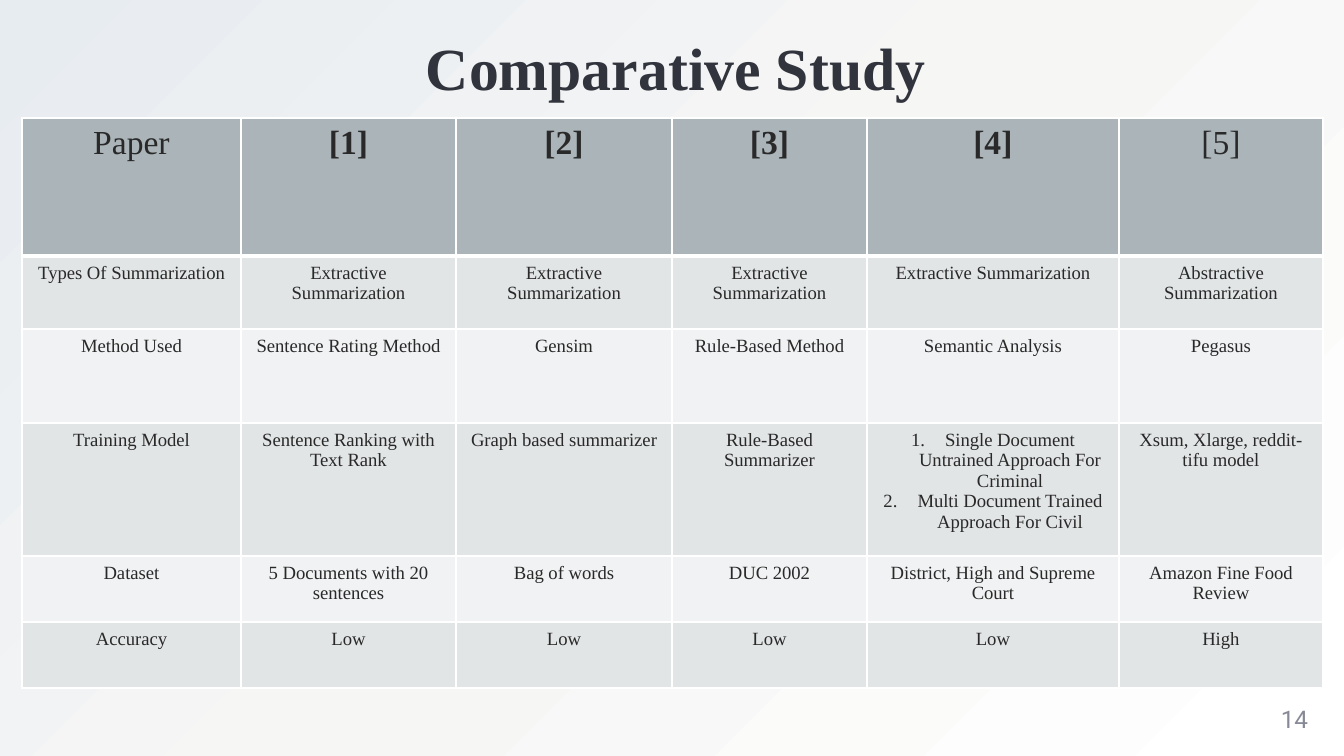
import lxml.etree
import pptx
import pptx.dml.color
import pptx.enum.text
import pptx.oxml.ns
import pptx.util

SCALE = 914400 / 134.4
SERIF = "Times New Roman"
INK = "292929"
HEADER_FILL = "ABB4B8"
BAND_FILLS = ("E2E5E6", "F1F2F3")
BACKGROUND = ((0, "FFFFFF"), (50, "F6F6F5"), (100, "E7ECF0"))
COLUMNS = (219, 215, 216, 195, 252, 204)
ROWS = (138, 73, 94, 133, 66, 66)
STUDY = (
    ("Paper", "[1]", "[2]", "[3]", "[4]", "[5]"),
    ("Types Of Summarization", *["Extractive Summarization"] * 4, "Abstractive Summarization"),
    ("Method Used", "Sentence Rating Method", "Gensim", "Rule-Based Method",
     "Semantic Analysis", "Pegasus"),
    ("Training Model", "Sentence Ranking with Text Rank", "Graph based summarizer",
     "Rule-Based Summarizer",
     ("Single Document Untrained Approach For Criminal",
      "Multi Document Trained Approach For Civil"),
     "Xsum, Xlarge, reddit-tifu model"),
    ("Dataset", "5 Documents with 20 sentences", "Bag of words", "DUC 2002",
     "District, High and Supreme Court", "Amazon Fine Food Review"),
    ("Accuracy", *["Low"] * 4, "High"),
)


def px(length):
    """Turn px into EMU."""
    return pptx.util.Emu(round(length * SCALE))


def color(value):
    """Turn a hex string into a colour."""
    return pptx.dml.color.RGBColor.from_string(value)


def add_node(parent, tag, **attributes):
    """Append a drawing element to a parent."""
    return lxml.etree.SubElement(parent, pptx.oxml.ns.qn(tag), attributes)


def write(para, text, size, ink, font=SERIF, bold=False):
    """Add one centred span to a paragraph."""
    para.alignment = pptx.enum.text.PP_ALIGN.CENTER
    span = para.add_run()
    span.text = text
    span.font.name = font
    span.font.size = pptx.util.Pt(size)
    span.font.bold = bold
    span.font.color.rgb = color(ink)


def number(para):
    """Give a paragraph a hanging automatic number."""
    properties = para._p.get_or_add_pPr()
    properties.set("marL", str(px(34)))
    properties.set("indent", str(-px(34)))
    add_node(add_node(properties, "a:buClr"), "a:srgbClr", val=INK)
    add_node(properties, "a:buAutoNum", type="arabicPeriod")


def add_borders(cell, top, bottom):
    """Draw white borders with the given top and bottom widths in points."""
    properties = cell._tc.get_or_add_tcPr()
    for side, width in (("L", 1), ("R", 1), ("T", top), ("B", bottom)):
        line = add_node(properties, f"a:ln{side}", w=str(pptx.util.Pt(width)))
        add_node(add_node(line, "a:solidFill"), "a:srgbClr", val="FFFFFF")


def paint_background(page):
    """Fill the page with a diagonal gradient."""
    fill = page.background.fill
    fill.gradient()
    fill.gradient_angle = 135
    stops = next(page.element.iter(pptx.oxml.ns.qn("a:gsLst")))
    for stop in list(stops):
        stops.remove(stop)
    for position, value in BACKGROUND:
        stop = add_node(stops, "a:gs", pos=str(position * 1000))
        add_node(stop, "a:srgbClr", val=value)


def add_text(page, box, text, size, ink, margin, anchor, **style):
    """Place a one-paragraph text box and return its paragraph."""
    frame = page.shapes.add_textbox(*map(px, box)).text_frame
    frame.word_wrap = True
    frame.vertical_anchor = anchor
    frame.margin_left = frame.margin_right = px(margin)
    frame.margin_top = frame.margin_bottom = px(margin)
    para = frame.paragraphs[0]
    write(para, text, size, ink, **style)
    return para


def fill_cell(cell, content, row, column):
    """Style one table cell and write its text."""
    header = row == 0
    add_borders(cell, 3 if row == 1 else 1, 3 if header else 1)
    cell.fill.solid()
    cell.fill.fore_color.rgb = color(HEADER_FILL if header else BAND_FILLS[(row - 1) % 2])
    bold = header and 0 < column < len(COLUMNS) - 1
    listed = isinstance(content, tuple)
    for index, text in enumerate(content if listed else (content,)):
        frame = cell.text_frame
        para = frame.add_paragraph() if index else frame.paragraphs[0]
        if listed:
            number(para)
        write(para, text, 18 if header else 10, INK, bold=bold)


def add_study(page, left, top):
    """Place the comparison table."""
    box = (left, top, sum(COLUMNS), sum(ROWS))
    table = page.shapes.add_table(len(ROWS), len(COLUMNS), *map(px, box)).table
    for column, width in zip(table.columns, COLUMNS):
        column.width = px(width)
    for row, height in zip(table.rows, ROWS):
        row.height = px(height)
    for row, contents in enumerate(STUDY):
        for column, content in enumerate(contents):
            fill_cell(table.cell(row, column), content, row, column)


def main():
    """Build and save the deck."""
    anchors = pptx.enum.text.MSO_ANCHOR
    deck = pptx.Presentation()
    deck.slide_width, deck.slide_height = px(1344), px(756)
    page = deck.slides.add_slide(deck.slide_layouts[6])
    paint_background(page)
    add_text(page, (1254, 690, 81, 58), "14", 13, "878A96", 0, anchors.MIDDLE, font="Roboto")
    add_study(page, 22, 118)
    title = add_text(page, (250, 26, 852, 93), "Comparative Study", 32, "31343C", 13,
                     anchors.TOP, bold=True)
    title.line_spacing = 0.9
    deck.save("out.pptx")


if __name__ == "__main__":
    main()
